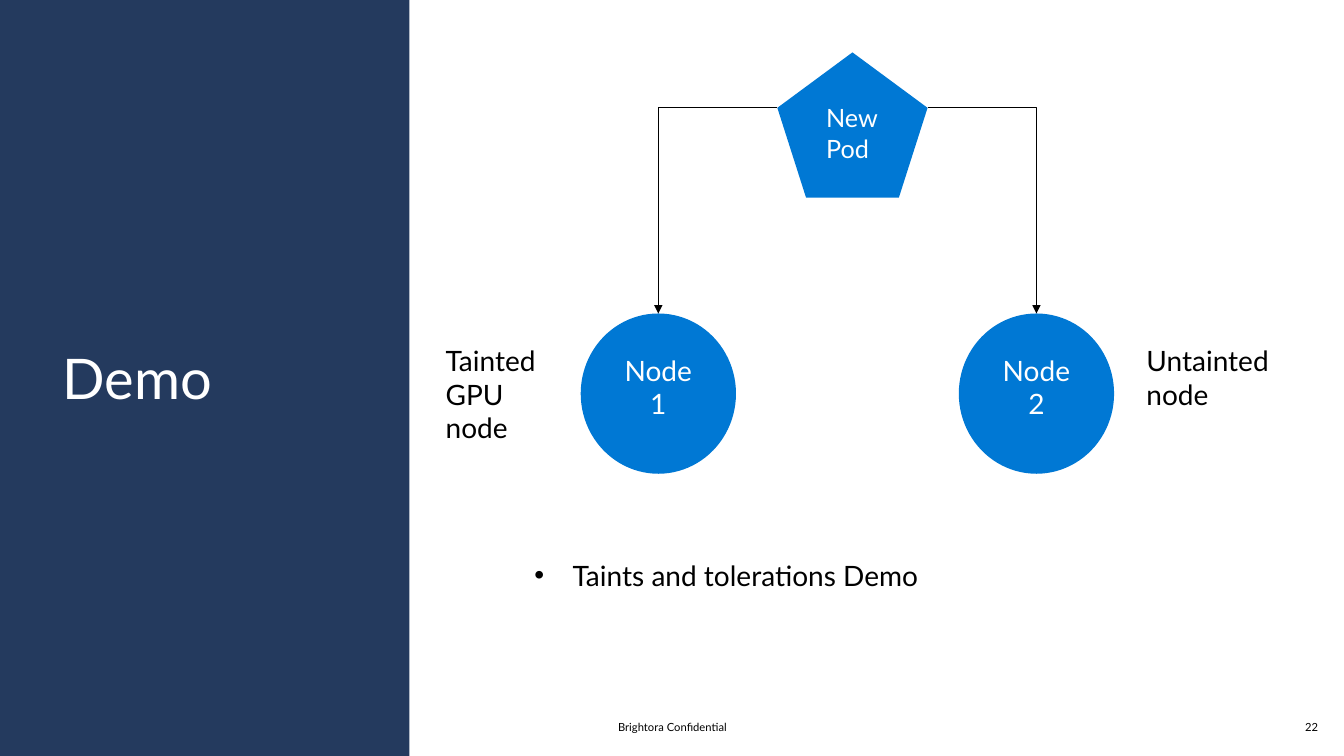
from dataclasses import dataclass

from lxml import etree
from pptx import Presentation
from pptx.dml.color import RGBColor
from pptx.enum.shapes import MSO_CONNECTOR, MSO_SHAPE
from pptx.enum.text import MSO_ANCHOR, PP_ALIGN
from pptx.oxml.ns import qn
from pptx.shapes.autoshape import Shape
from pptx.slide import Slide
from pptx.util import Emu, Pt

NAVY = RGBColor(0x24, 0x3A, 0x5E)
BLUE = RGBColor(0x00, 0x78, 0xD4)
WHITE = RGBColor(0xFF, 0xFF, 0xFF)
BLACK = RGBColor(0x00, 0x00, 0x00)
FONT = "Lato"

RECTANGLE = MSO_SHAPE.RECTANGLE
CIRCLE = MSO_SHAPE.FLOWCHART_CONNECTOR
PENTAGON = MSO_SHAPE.REGULAR_PENTAGON
ELBOW = MSO_CONNECTOR.ELBOW
LEFT, CENTER = PP_ALIGN.LEFT, PP_ALIGN.CENTER
TOP, MIDDLE = MSO_ANCHOR.TOP, MSO_ANCHOR.MIDDLE

EMU_PER_PX = 9144  # 100 px to the inch
SLIDE_WIDTH, SLIDE_HEIGHT = 1333, 750


@dataclass(frozen=True)
class Box:
    left: int
    top: int
    width: int
    height: int

    @property
    def center_x(self) -> int:
        return self.left + self.width // 2

    def emu(self) -> tuple[Emu, Emu, Emu, Emu]:
        return px(self.left), px(self.top), px(self.width), px(self.height)


@dataclass(frozen=True)
class Node:
    name: str
    circle: Box
    description: str
    description_box: Box
    pod_corner_x: int


POD = Box(771, 52, 149, 144)
POD_CORNER_Y = 107
NODES = [
    Node("Node 1", Box(576, 311, 154, 159), "Tainted GPU node",
         Box(442, 341, 94, 101), POD.left),
    Node("Node 2", Box(951, 311, 154, 159), "Untainted node",
         Box(1137, 341, 142, 67), POD.left + POD.width),
]


def px(length: int) -> Emu:
    return Emu(length * EMU_PER_PX)


def write(shape: Shape, text: str, *, size: int = 20, color: RGBColor = BLACK,
          align: PP_ALIGN = LEFT, anchor: MSO_ANCHOR = TOP,
          inset_x: int = 0, inset_y: int = 0, bullet_indent: int = 0) -> None:
    frame = shape.text_frame
    frame.word_wrap = True
    frame.vertical_anchor = anchor
    frame.margin_left = frame.margin_right = px(inset_x)
    frame.margin_top = frame.margin_bottom = px(inset_y)
    paragraph = frame.paragraphs[0]
    paragraph.text = text
    paragraph.alignment = align
    if bullet_indent:
        properties = paragraph._p.get_or_add_pPr()
        properties.set("marL", str(px(bullet_indent)))
        properties.set("indent", str(-px(bullet_indent)))
        bullet_font = etree.SubElement(properties, qn("a:buFont"))
        bullet_font.set("typeface", "Arial")
        etree.SubElement(properties, qn("a:buChar")).set("char", "•")
    font = paragraph.runs[0].font
    font.name = FONT
    font.size = Pt(size)
    font.color.rgb = color


def add_text(slide: Slide, box: Box, text: str, **text_format) -> None:
    write(slide.shapes.add_textbox(*box.emu()), text, **text_format)


def add_filled(slide: Slide, kind: MSO_SHAPE, box: Box, fill: RGBColor) -> Shape:
    shape = slide.shapes.add_shape(kind, *box.emu())
    shape.shadow.inherit = False
    shape.fill.solid()
    shape.fill.fore_color.rgb = fill
    shape.line.fill.background()
    return shape


def add_bent_arrow(slide: Slide, start: tuple[int, int], end: tuple[int, int]) -> None:
    """Run sideways from start, then turn once down to an arrowhead at end."""
    arrow = slide.shapes.add_connector(ELBOW, *map(px, start + end))
    arrow.line.color.rgb = BLACK
    arrow.line.width = Pt(0.75)
    properties = arrow._element.spPr
    properties.find(qn("a:prstGeom")).set("prst", "bentConnector2")
    head = etree.SubElement(properties.find(qn("a:ln")), qn("a:tailEnd"))
    head.set("type", "triangle")
    etree.SubElement(properties, qn("a:effectLst"))


def main() -> None:
    presentation = Presentation()
    presentation.slide_width = px(SLIDE_WIDTH)
    presentation.slide_height = px(SLIDE_HEIGHT)
    slide = presentation.slides.add_slide(presentation.slide_layouts[6])

    add_filled(slide, RECTANGLE, Box(0, 0, 406, SLIDE_HEIGHT), NAVY)
    add_text(slide, Box(62, 341, 309, 67), "Demo", size=40, color=WHITE)

    pod = add_filled(slide, PENTAGON, POD, BLUE)
    write(pod, "New Pod", size=18, color=WHITE, inset_x=20, inset_y=16)
    for node in NODES:
        circle = add_filled(slide, CIRCLE, node.circle, BLUE)
        write(circle, node.name, color=WHITE, align=CENTER, inset_x=20, inset_y=16)
        add_text(slide, node.description_box, node.description)
        add_bent_arrow(slide, (node.pod_corner_x, POD_CORNER_Y),
                       (node.circle.center_x, node.circle.top))

    add_text(slide, Box(530, 554, 724, 34), "Taints and tolerations Demo",
             bullet_indent=38)

    for box, footer in [(Box(442, 715, 450, 13), "Brightora Confidential"),
                        (Box(1279, 715, 44, 13), "22")]:
        add_text(slide, box, footer, size=8, align=CENTER, anchor=MIDDLE)

    presentation.save("out.pptx")


if __name__ == "__main__":
    main()
